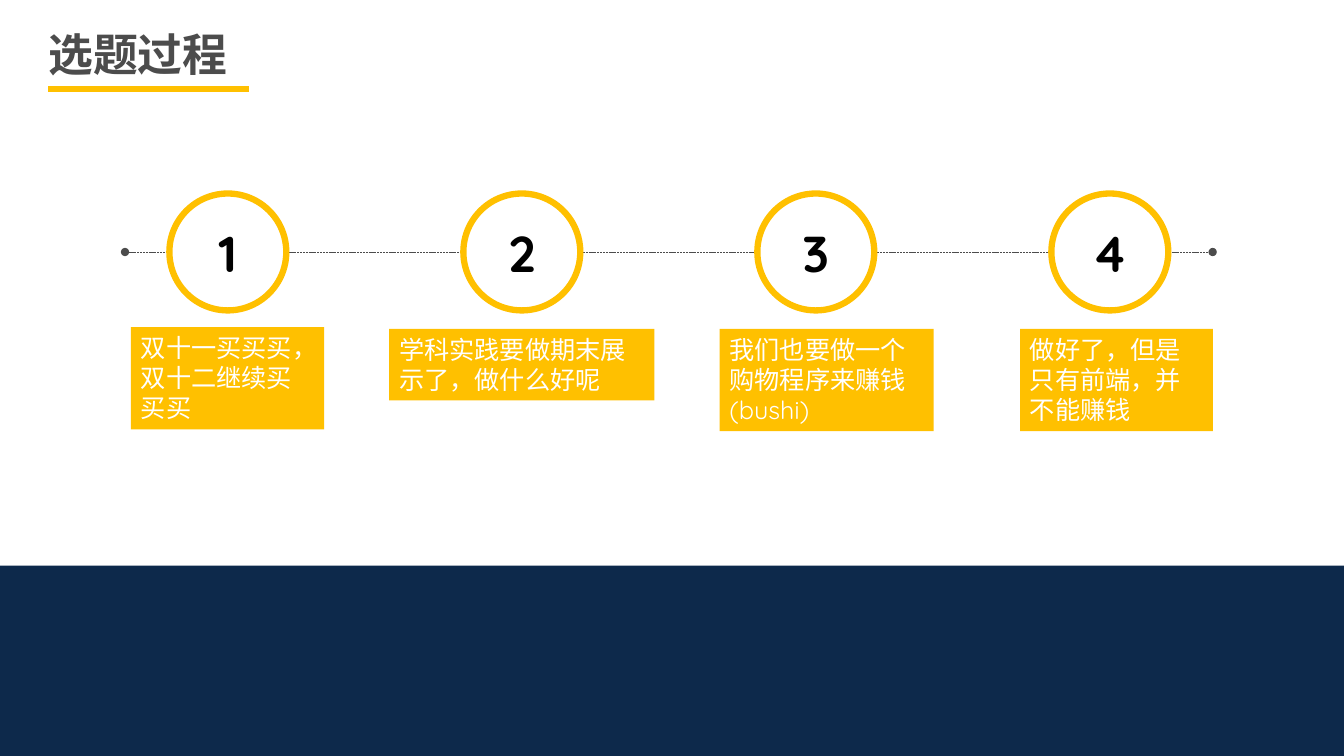
from lxml.etree import SubElement
from pptx import Presentation
from pptx.dml.color import RGBColor
from pptx.enum.dml import MSO_LINE_DASH_STYLE as Dash
from pptx.enum.shapes import MSO_CONNECTOR as Connector, MSO_SHAPE as Shape
from pptx.enum.text import MSO_ANCHOR as Anchor, MSO_AUTO_SIZE as AutoSize, PP_ALIGN as Align
from pptx.oxml.ns import qn
from pptx.util import Pt

COLORS = {
    "navy": "0D294B",
    "gold": "FFC000",
    "gray": "4C4C4C",
    "white": "FFFFFF",
    "black": "000000",
}
WIDTH, HEIGHT = 960, 540
BAND_TOP = 404
FIRST_CENTER, CENTER_STEP = 162.75, 210
TIMELINE_Y, DIAMETER = 180, 83.5
STEPS = [
    ("双十一买买买，双十二继续买买买", 93.6, 233.7, 138, 73),
    ("学科实践要做期末展示了，做什么好呢", 278, 235, 189.5, 51),
    ("我们也要做一个购物程序来赚钱(bushi)", 514, 235, 153, 73),
    ("做好了，但是只有前端，并不能赚钱", 728.6, 235, 137.8, 73),
]


class SlideBuilder:
    """Draws styled elements on one slide, with lengths in points."""

    font_name = "Quicksand"

    def __init__(self, slide):
        self.slide = slide

    def color(self, name):
        return RGBColor.from_string(COLORS[name])

    def set_text(self, shape, text, size, color, bold=False, align=Align.LEFT,
                 anchor=Anchor.TOP, fit=AutoSize.NONE, spacing=1.0):
        frame = shape.text_frame
        frame.text = text
        paragraph = frame.paragraphs[0]
        font = paragraph.runs[0].font
        formats = [
            (frame, {"word_wrap": True, "vertical_anchor": anchor, "auto_size": fit}),
            (paragraph, {"alignment": align, "line_spacing": spacing}),
            (font, {"name": self.font_name, "size": Pt(size), "bold": bold}),
        ]
        for target, values in formats:
            for attribute, value in values.items():
                setattr(target, attribute, value)
        font.color.rgb = self.color(color)

    def shape(self, kind, left, top, width, height, fill, outline=None):
        shape = self.slide.shapes.add_shape(kind, Pt(left), Pt(top), Pt(width), Pt(height))
        shape.shadow.inherit = False
        shape.fill.solid()
        shape.fill.fore_color.rgb = self.color(fill)
        if outline:
            shape.line.color.rgb = self.color(outline)
            shape.line.width = Pt(4.5)
        else:
            shape.line.fill.background()
        return shape

    def line(self, start, end, y, color, width, dash=None, ends=None):
        connector = self.slide.shapes.add_connector(
            Connector.STRAIGHT, Pt(start), Pt(y), Pt(end), Pt(y))
        connector.line.color.rgb = self.color(color)
        connector.line.width = Pt(width)
        if dash:
            connector.line.dash_style = dash
        properties = connector.element.spPr
        if ends:
            for tag in ("a:headEnd", "a:tailEnd"):
                SubElement(properties.find(qn("a:ln")), qn(tag), type=ends)
        SubElement(properties, qn("a:effectLst"))

    def title(self, text, left, top, width, height):
        box = self.slide.shapes.add_textbox(Pt(left), Pt(top), Pt(width), Pt(height))
        self.set_text(box, text, 32, "gray", bold=True, anchor=Anchor.MIDDLE, spacing=0.9)

    def caption(self, text, left, top, width, height):
        shape = self.shape(Shape.RECTANGLE, left, top, width, height, "gold")
        self.set_text(shape, text, 18, "white", fit=AutoSize.SHAPE_TO_FIT_TEXT)

    def number(self, value, center):
        shape = self.shape(Shape.OVAL, center - DIAMETER / 2, TIMELINE_Y - DIAMETER / 2,
                           DIAMETER, DIAMETER, "white", "gold")
        self.set_text(shape, str(value), 36, "black", bold=True,
                      align=Align.CENTER, anchor=Anchor.MIDDLE)


def main():
    presentation = Presentation()
    presentation.slide_width, presentation.slide_height = Pt(WIDTH), Pt(HEIGHT)
    builder = SlideBuilder(presentation.slides.add_slide(presentation.slide_layouts[6]))

    builder.shape(Shape.RECTANGLE, 0, BAND_TOP, WIDTH, HEIGHT - BAND_TOP, "navy")
    builder.line(34.4, 178, 63.4, "gold", 4.5)
    builder.title("选题过程", 27.4, 19.4, 388, 43.2)
    builder.line(89.3, 866.2, TIMELINE_Y, "gray", 0.5, Dash.SQUARE_DOT, "oval")
    for index, step in enumerate(STEPS):
        builder.caption(*step)
        builder.number(index + 1, FIRST_CENTER + index * CENTER_STEP)

    presentation.save("out.pptx")


if __name__ == "__main__":
    main()
